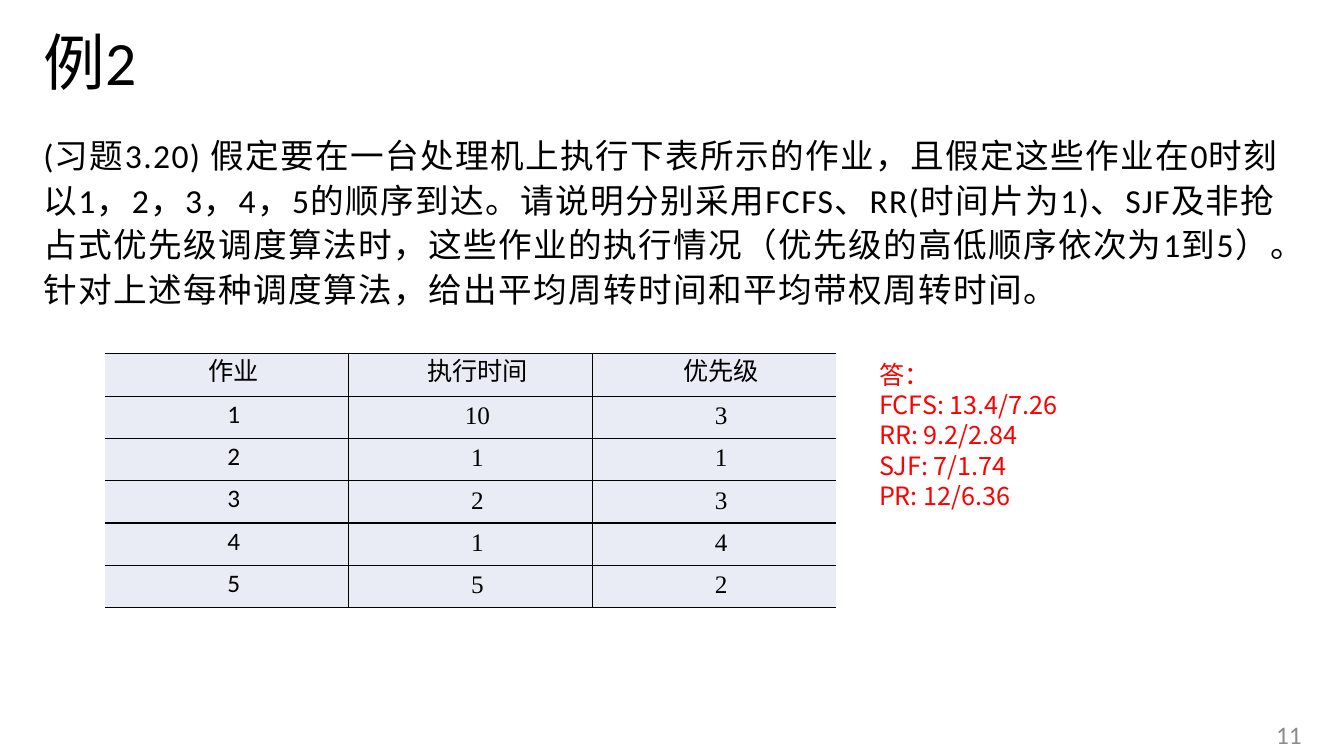
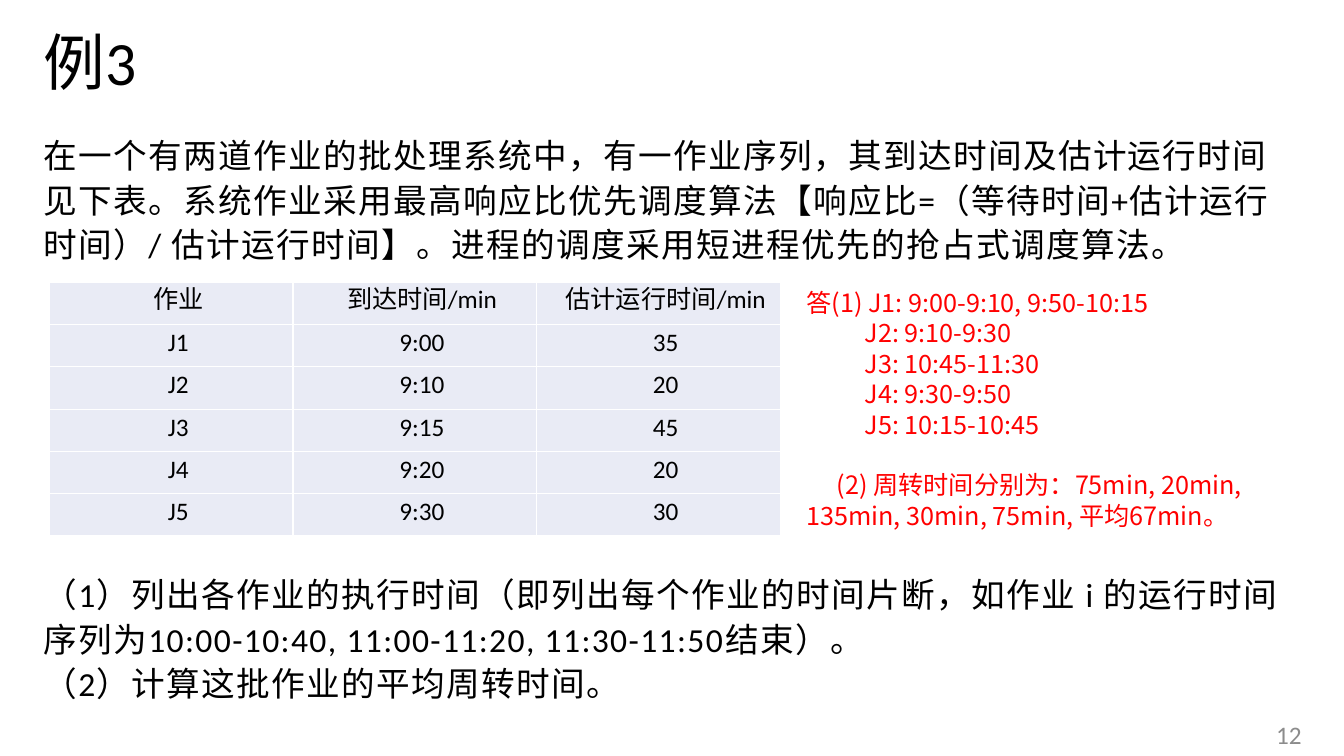
from lxml.etree import SubElement
from pptx import Presentation
from pptx.dml.color import RGBColor
from pptx.enum.text import MSO_ANCHOR as Anchor, MSO_AUTO_SIZE as AutoSize, PP_ALIGN as Align
from pptx.oxml.ns import qn
from pptx.util import Emu, Inches, Pt

COLOURS = {"ink": "000000", "answer": "FF0000", "number": "8C8C8C", "cell": "E9EBF5", "white": "FFFFFF"}
LATIN, SERIF, CJK = "Calibri", "Times New Roman", "Noto Sans CJK SC"
WIDTH, HEIGHT = 13.33, 7.5
MARGIN, CONTENT = 0.33, 12.68
TABLE_WIDTH, ROW_HEIGHT = 7.25, 0.42
BODY_STYLE = dict(size=24, spacing=1, leading=Pt(31.8))
ANSWER_STYLE = dict(font=CJK, colour="answer", leading=Pt(21.7))

SLIDES = [
    {
        "number": "11",
        "title": "例2",
        "body": [
            ("(习题3.20) 假定要在一台处理机上执行下表所示的作业，且假定这些作业在0时刻以1，2，3，4，5的顺序到达。"
             "请说明分别采用FCFS、RR(时间片为1)、SJF及非抢占式优先级调度算法时，这些作业的执行情况"
             "（优先级的高低顺序依次为1到5）。针对上述每种调度算法，给出平均周转时间和平均带权周转时间。", 0),
        ],
        "table": {
            "at": (1.04, 3.51),
            "fonts": (LATIN, SERIF, SERIF),
            "line": "ink",
            "open_sides": True,
            "rows": [
                ("作业", "执行时间", "优先级"),
                ("1", "10", "3"),
                ("2", "1", "1"),
                ("3", "2", "3"),
                ("4", "1", "4"),
                ("5", "5", "2"),
            ],
        },
        "answer": {
            "at": (8.62, 3.51, 4.39, 1.62),
            "lines": [
                ("答：", 0, 0),
                ("FCFS: 13.4/7.26", 0, 0),
                ("RR: 9.2/2.84", 0, 0),
                ("SJF: 7/1.74", 0, 0),
                ("PR: 12/6.36", 0, 0),
            ],
        },
    },
    {
        "number": "12",
        "title": "例3",
        "body": [
            ("在一个有两道作业的批处理系统中，有一作业序列，其到达时间及估计运行时间见下表。"
             "系统作业采用最高响应比优先调度算法【响应比=（等待时间+估计运行时间）/ 估计运行时间】。"
             "进程的调度采用短进程优先的抢占式调度算法。", 0),
            ("（1）列出各作业的执行时间（即列出每个作业的时间片断，如作业 i 的运行时间序列为"
             "10:00-10:40, 11:00-11:20, 11:30-11:50结束）。", 218),
            ("（2）计算这批作业的平均周转时间。", 0),
        ],
        "table": {
            "at": (0.49, 2.8),
            "fonts": (LATIN, LATIN, LATIN),
            "line": "white",
            "open_sides": False,
            "rows": [
                ("作业", "到达时间/min", "估计运行时间/min"),
                ("J1", "9:00", "35"),
                ("J2", "9:10", "20"),
                ("J3", "9:15", "45"),
                ("J4", "9:20", "20"),
                ("J5", "9:30", "30"),
            ],
        },
        "answer": {
            "at": (7.9, 2.8, 4.95, 2.52),
            "lines": [
                ("答(1) J1: 9:00-9:10, 9:50-10:15", 0, 0),
                ("J2: 9:10-9:30", 0.58, 0),
                ("J3: 10:45-11:30", 0.58, 0),
                ("J4: 9:30-9:50", 0.58, 0),
                ("J5: 10:15-10:45", 0.58, 0),
                ("(2) 周转时间分别为：75min, 20min, 135min, 30min, 75min, 平均67min。", 0.3, 21.7),
            ],
        },
    },
]


def colour_of(name):
    return RGBColor.from_string(COLOURS[name])


def write(para, text, size=18, font=LATIN, colour="ink", align=Align.LEFT,
          leading=None, before=0, indent=0, spacing=0):
    span = para.add_run()
    span.text = text
    span.font.size = Pt(size)
    span.font.color.rgb = colour_of(colour)
    span.font.name = font
    props = span._r.get_or_add_rPr()
    SubElement(props, qn("a:ea")).set("typeface", CJK)
    if spacing:
        props.set("spc", str(spacing * 100))
    para.alignment = align
    para.space_before = Pt(before)
    if leading is not None:
        para.line_spacing = leading
    para_props = para._p.get_or_add_pPr()
    para_props.set("marL", "0")
    para_props.set("indent", str(Inches(indent)))
    SubElement(para_props, qn("a:buNone"))


def place(shape, left, top, width, height):
    shape.left, shape.top = Inches(left), Inches(top)
    shape.width, shape.height = Inches(width), Inches(height)


def prepare(box, anchor=Anchor.TOP):
    frame = box.text_frame
    frame.word_wrap = True
    frame.auto_size = AutoSize.NONE
    frame.vertical_anchor = anchor
    return frame


def add_text_box(page, at, anchor=Anchor.TOP):
    return prepare(page.shapes.add_textbox(*map(Inches, at)), anchor)


def paragraphs(frame, count):
    return [frame.paragraphs[0]] + [frame.add_paragraph() for _ in range(count - 1)]


def draw_border(cell, side, colour):
    line = SubElement(cell._tc.get_or_add_tcPr(), qn("a:ln" + side), w=str(Pt(1)))
    if colour is None:
        SubElement(line, qn("a:noFill"))
    else:
        fill = SubElement(line, qn("a:solidFill"))
        SubElement(fill, qn("a:srgbClr"), val=COLOURS[colour])


def add_job_table(page, at, fonts, line, open_sides, rows):
    columns = len(fonts)
    left, top = map(Inches, at)
    table = page.shapes.add_table(len(rows), columns, left, top, Inches(TABLE_WIDTH),
                                  Inches(ROW_HEIGHT * len(rows))).table
    for column in table.columns:
        column.width = Emu(Inches(TABLE_WIDTH) // columns)
    for row_index, row in enumerate(rows):
        table.rows[row_index].height = Inches(ROW_HEIGHT)
        for index, text in enumerate(row):
            cell = table.cell(row_index, index)
            outer = {"L": index == 0, "R": index == columns - 1}
            for side in "LRTB":
                hidden = open_sides and outer.get(side, False)
                draw_border(cell, side, None if hidden else line)
            cell.fill.solid()
            cell.fill.fore_color.rgb = colour_of("cell")
            cell.vertical_anchor = Anchor.MIDDLE
            cell.margin_left = cell.margin_right = Inches(0.07)
            cell.margin_top = cell.margin_bottom = 0
            write(cell.text_frame.paragraphs[0], text, font=fonts[index],
                  align=Align.CENTER, leading=Pt(18), indent=0.14)


def build_slide(deck, content):
    page = deck.slides.add_slide(deck.slide_layouts[1])
    title, body = page.shapes.title, page.placeholders[1]
    place(title, MARGIN, 0.12, CONTENT, 1.06)
    write(prepare(title, Anchor.MIDDLE).paragraphs[0], content["title"], size=44, leading=0.9)

    place(body, MARGIN, 1.25, CONTENT, 5.92)
    frame = prepare(body)
    for para, (text, before) in zip(paragraphs(frame, len(content["body"])), content["body"]):
        write(para, text, before=before, **BODY_STYLE)

    add_job_table(page, **content["table"])

    answer = content["answer"]
    frame = add_text_box(page, answer["at"])
    for para, (text, indent, before) in zip(paragraphs(frame, len(answer["lines"])), answer["lines"]):
        write(para, text, indent=indent, before=before, **ANSWER_STYLE)

    frame = add_text_box(page, (MARGIN + CONTENT - 3, 7.09, 3, 0.4), Anchor.MIDDLE)
    write(frame.paragraphs[0], content["number"], colour="number", align=Align.RIGHT)


def main():
    deck = Presentation()
    deck.slide_width, deck.slide_height = Inches(WIDTH), Inches(HEIGHT)
    for content in SLIDES:
        build_slide(deck, content)
    deck.save("out.pptx")


if __name__ == "__main__":
    main()
